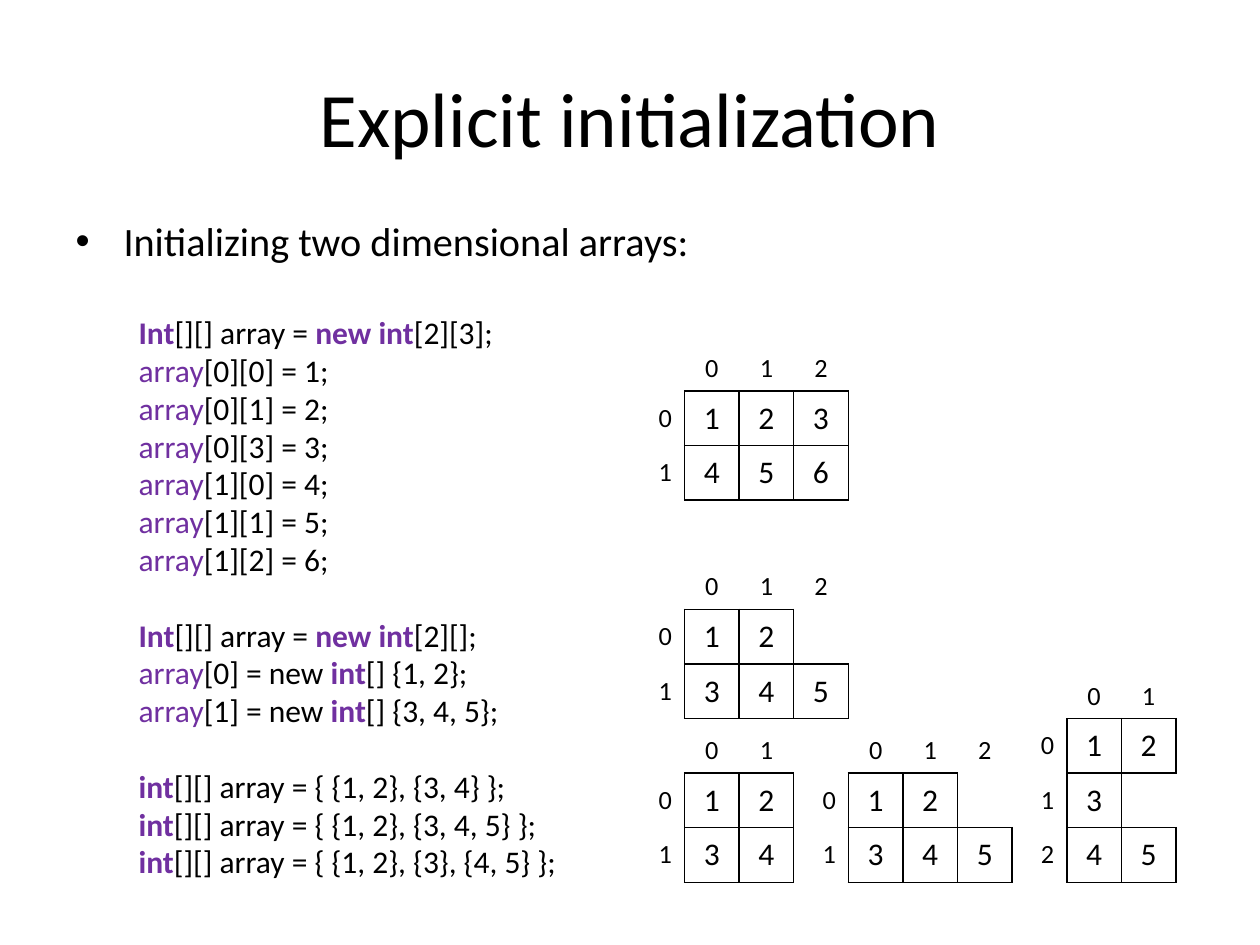
from lxml.etree import SubElement
from pptx import Presentation
from pptx.dml.color import RGBColor as RGB
from pptx.enum.text import MSO_ANCHOR as ANCHOR, MSO_AUTO_SIZE as AUTO, PP_ALIGN as ALIGN
from pptx.oxml.ns import qn
from pptx.util import Inches, Pt

COLORS = {"text": "000000", "keyword": "7030A0", "line": "000000"}
FONT = "Calibri"
UNIT = 1.3 / 3
GRID_LEFT, GRID_TOP = 5, 2.67
LINE_PITCH = 21.6

CODE = [
    ["*Int*[][] array = *new int*[2][3];",
     "*array*[0][0] = 1;",
     "*array*[0][1] = 2;",
     "*array*[0][3] = 3;",
     "*array*[1][0] = 4;",
     "*array*[1][1] = 5;",
     "*array*[1][2] = 6;"],
    ["*Int*[][] array = *new int*[2][];",
     "*array*[0] = new *int*[] {1, 2};",
     "*array*[1] = new *int*[] {3, 4, 5};"],
    ["*int*[][] array = { {1, 2}, {3, 4} };",
     "*int*[][] array = { {1, 2}, {3, 4, 5} };",
     "*int*[][] array = { {1, 2}, {3}, {4, 5} };"],
]

ARRAYS = [
    (0, 0, [[1, 2, 3], [4, 5, 6]]),
    (0, 4, [[1, 2], [3, 4, 5]]),
    (0, 7, [[1, 2], [3, 4]]),
    (3, 7, [[1, 2], [3, 4, 5]]),
    (7, 6, [[1, 2], [3], [4, 5]]),
]


def add_text(p, text, size=18, color="text", bold=False):
    r = p.add_run()
    r.text = text
    r.font.name, r.font.size, r.font.bold = FONT, Pt(size), bold
    r.font.color.rgb = RGB.from_string(COLORS[color])


class SlideBuilder:
    """Hold the style and the current slide, and add each kind of element."""

    def __init__(self, prs):
        self.s = prs.slides.add_slide(prs.slide_layouts[1])

    def frame(self, sp, x, y, w, h):
        sp.left, sp.top, sp.width, sp.height = map(Inches, (x, y, w, h))
        tf = sp.text_frame
        tf.margin_left = tf.margin_right = tf.margin_top = tf.margin_bottom = 0
        tf.word_wrap, tf.auto_size = True, AUTO.NONE
        tf.vertical_anchor = ANCHOR.TOP
        return tf

    def title(self, text):
        tf = self.frame(self.s.shapes.title, 0.35, 0.56, 9.3, 1.13)
        p = tf.paragraphs[0]
        p.alignment = ALIGN.CENTER
        add_text(p, text, size=44)

    def indent(self, p, left, first, bullet=None):
        pPr = p._p.get_or_add_pPr()
        pPr.set("marL", str(Inches(left)))
        pPr.set("indent", str(Inches(first)))
        if bullet:
            SubElement(pPr, qn("a:buChar"), char=bullet)
        else:
            SubElement(pPr, qn("a:buNone"))

    def body(self, heading, blocks):
        tf = self.frame(self.s.placeholders[1], 0.59, 1.72, 9.41, 5.78)
        p = tf.paragraphs[0]
        p.space_before = Pt(0)
        self.indent(p, 0.39, -0.38, "•")
        add_text(p, heading, size=23)
        for b, block in enumerate(blocks):
            for i, line in enumerate(block):
                gap = 0 if i else LINE_PITCH if b else 27.5
                self.code_line(tf.add_paragraph(), line, gap)

    def code_line(self, p, line, gap):
        p.level = 1
        p.line_spacing, p.space_before = Pt(LINE_PITCH), Pt(gap)
        self.indent(p, 0.51, 0)
        for i, part in enumerate(line.split("*")):
            if part:
                keyword = i % 2 == 1
                add_text(p, part, color="keyword" if keyword else "text",
                         bold=keyword and part != "array")

    def array(self, col, row, values):
        n_rows, n_cols = len(values) + 1, max(map(len, values)) + 1
        box = [Inches(v) for v in (GRID_LEFT + col * UNIT, GRID_TOP + row * UNIT,
                                   n_cols * UNIT, n_rows * UNIT)]
        table = self.s.shapes.add_table(n_rows, n_cols, *box).table
        table.first_row = table.horz_banding = False
        filled = {(r, c) for r, vals in enumerate(values, 1)
                  for c in range(1, len(vals) + 1)}
        for r in range(n_rows):
            for c in range(n_cols):
                cell = table.cell(r, c)
                self.borders(cell, r, c, filled)
                cell.fill.background()
                cell.vertical_anchor = ANCHOR.MIDDLE if r else ANCHOR.BOTTOM
                p = cell.text_frame.paragraphs[0]
                p.alignment = ALIGN.CENTER if c else ALIGN.RIGHT
                if (r, c) in filled:
                    add_text(p, str(values[r - 1][c - 1]))
                elif (r == 0) != (c == 0):
                    add_text(p, str(r + c - 1), size=15)

    def borders(self, cell, r, c, filled):
        tcPr = cell._tc.get_or_add_tcPr()
        for side, dr, dc in (("L", 0, -1), ("R", 0, 1), ("T", -1, 0), ("B", 1, 0)):
            ln = SubElement(tcPr, qn("a:ln" + side), w=str(Pt(1)))
            if filled & {(r, c), (r + dr, c + dc)}:
                fill = SubElement(ln, qn("a:solidFill"))
                SubElement(fill, qn("a:srgbClr"), val=COLORS["line"])
            else:
                SubElement(ln, qn("a:noFill"))


def main():
    prs = Presentation()
    prs.slide_width, prs.slide_height = Inches(10), Inches(7.5)
    slide = SlideBuilder(prs)
    slide.title("Explicit initialization")
    slide.body("Initializing two dimensional arrays:", CODE)
    for col, row, values in ARRAYS:
        slide.array(col, row, values)
    prs.save("out.pptx")


if __name__ == "__main__":
    main()
